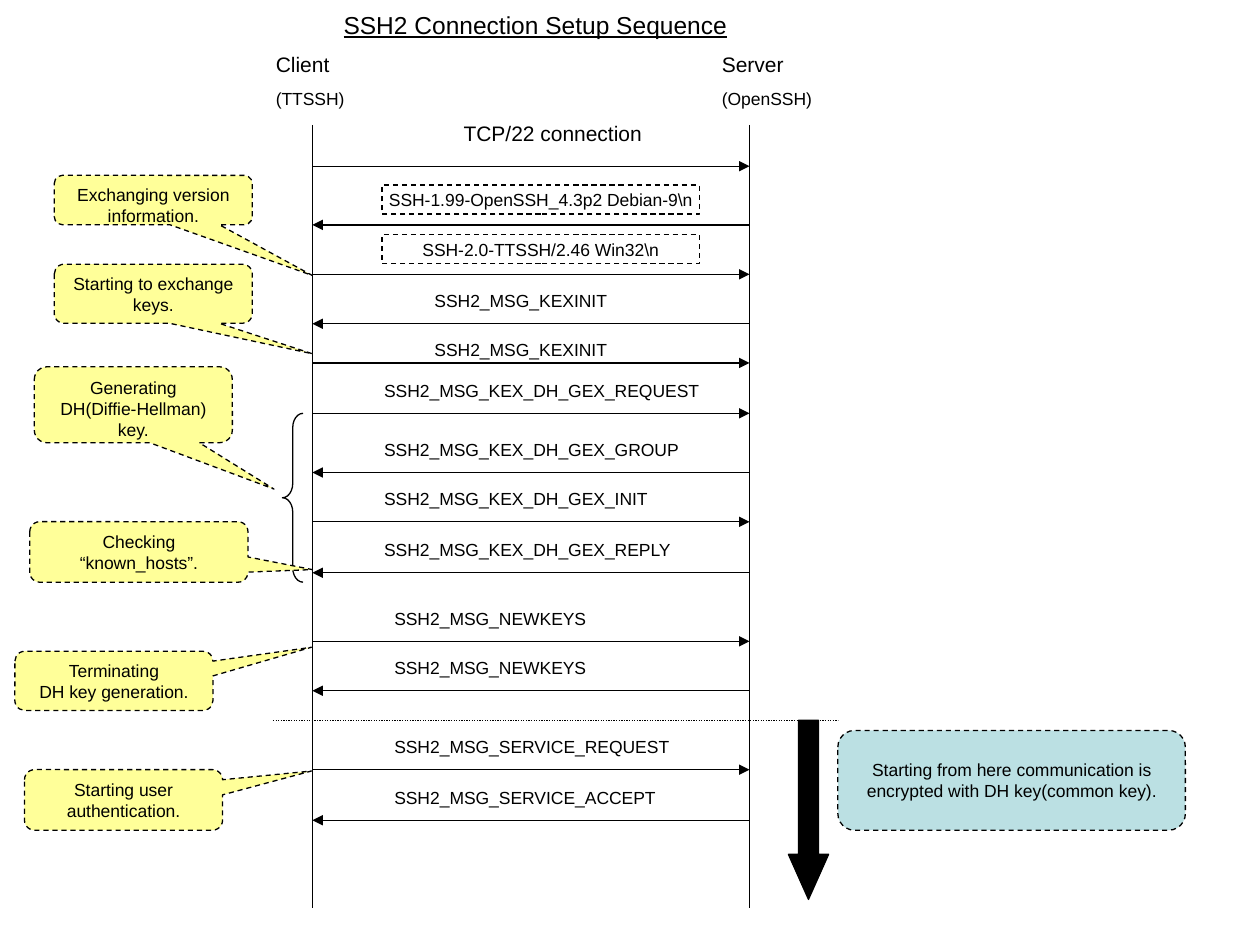
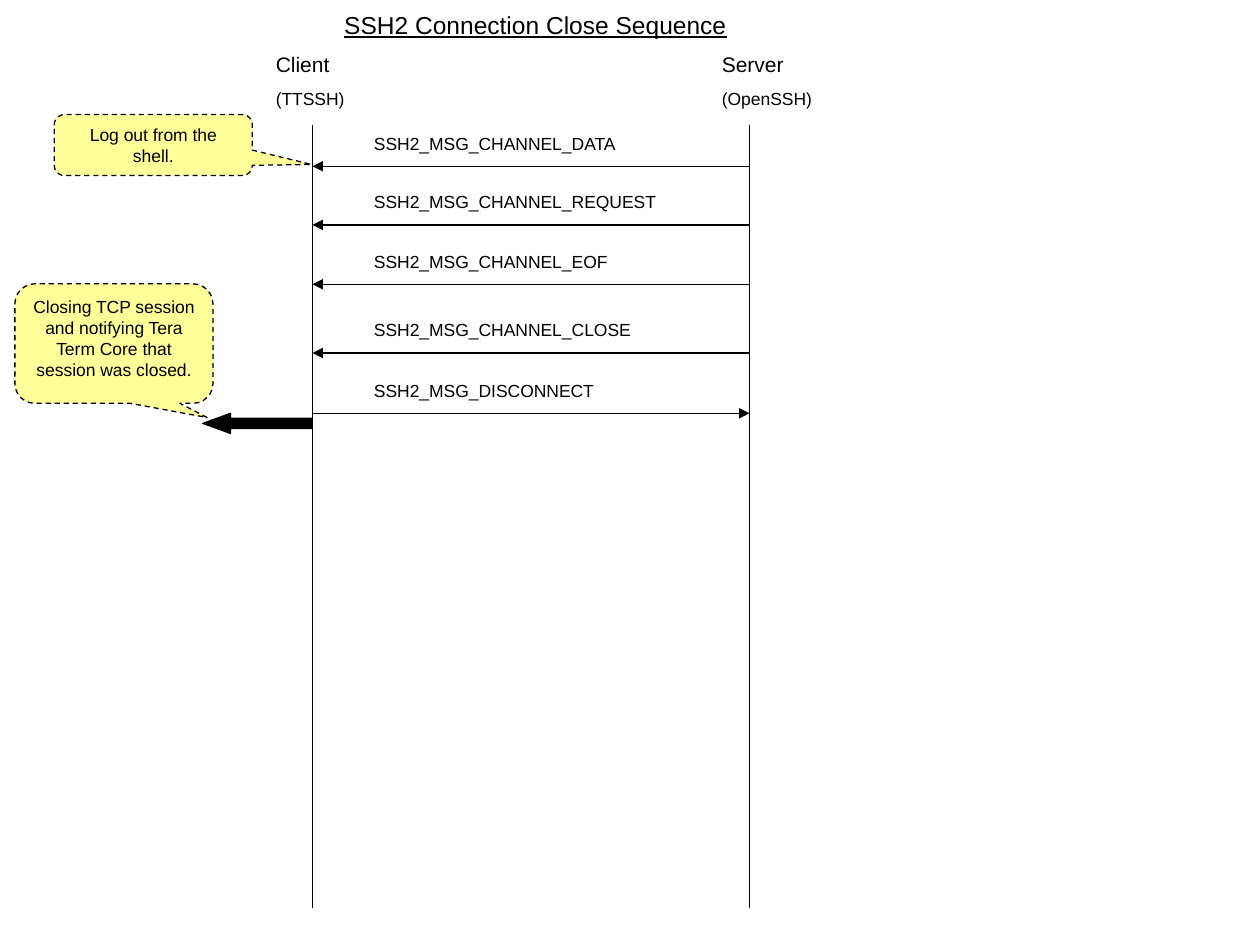
from dataclasses import dataclass

from lxml import etree
from pptx import Presentation
from pptx import util as u
from pptx.dml.color import RGBColor
from pptx.enum import dml, shapes, text
from pptx.oxml.ns import qn

Pt = u.Pt
SHAPE = shapes.MSO_SHAPE
ALIGN = text.PP_ALIGN
ANCHOR = text.MSO_ANCHOR
DASH = dml.MSO_LINE


@dataclass(frozen=True)
class Theme:
    font: str = "Arial"
    ink: str = "000000"
    note: str = "FFFF99"
    encrypted: str = "BBE0E3"
    title: int = 14
    heading: int = 12
    body: int = 10
    line: float = 0.75


THEME = Theme()
CLIENT, SERVER = 178.5, 428.3
LANE_TOP, LANE_BOTTOM = 71.3, 519
LABEL_GAP = 22.7
LABEL_HEIGHT = 19.4
FRAME_HEIGHT = 16.6

ACTORS = [(150.5, "Client", "(TTSSH)"), (405.4, "Server", "(OpenSSH)")]

LABEL_COLUMNS = {
    "tcp": (257.8, 133),
    "frame": (218.2, 181.4),
    "kexinit": (241.2, 119),
    "gex": (212.4, 199),
    "session": (218.2, 176),
    "channel": (206.6, 193),
}

SEQUENCES = [
    {
        "title": "SSH2 Connection Setup Sequence",
        "messages": [
            (95, "right", "tcp", "TCP/22 connection"),
            (128.5, "left", "frame", "SSH-1.99-OpenSSH_4.3p2 Debian-9\\n"),
            (156.8, "right", "frame", "SSH-2.0-TTSSH/2.46 Win32\\n"),
            (185, "left", "kexinit", "SSH2_MSG_KEXINIT"),
            (207.4, "right", "kexinit", "SSH2_MSG_KEXINIT"),
            (236.2, "right", "gex", "SSH2_MSG_KEX_DH_GEX_REQUEST"),
            (270, "left", "gex", "SSH2_MSG_KEX_DH_GEX_GROUP"),
            (298.2, "right", "gex", "SSH2_MSG_KEX_DH_GEX_INIT"),
            (327.3, "left", "gex", "SSH2_MSG_KEX_DH_GEX_REPLY"),
            (366.5, "right", "session", "SSH2_MSG_NEWKEYS"),
            (394.7, "left", "session", "SSH2_MSG_NEWKEYS"),
            (439.8, "right", "session", "SSH2_MSG_SERVICE_REQUEST"),
            (468.7, "left", "session", "SSH2_MSG_SERVICE_ACCEPT"),
        ],
        "label_gaps": {95: 29.5, 207.4: 17.3},
        "brace": (161.4, 236.2, 11.8, 96.5),
        "callouts": [
            ((31, 100.2, 113.2, 28.2), (CLIENT, 157.4), ["Exchanging version information."]),
            ((31, 151, 113.2, 33.8), (CLIENT, 202.2), ["Starting to exchange keys."]),
            ((19.6, 209.6, 113.2, 43.4), (156.6, 279.5), ["Generating", "DH(Diffie-Hellman) key."]),
            ((17, 298.1, 124.7, 34.6), (CLIENT, 325.5), ["Checking “known_hosts”."]),
            ((8.5, 372.2, 113.2, 33.8), (178, 369.9), ["Terminating", "DH key generation."]),
            ((14, 439.8, 113.2, 34.6), (178, 440.6), ["Starting user authentication."]),
        ],
        "block_arrow": (SHAPE.DOWN_ARROW, (450.5, 411.6, 23, 102.4), (0.5, 1.12)),
        "encryption": {
            "start": (156, 478.8, 411.6),
            "box": (478.8, 417.4, 198.6, 57),
            "lines": ["Starting from here communication is", "encrypted with DH key(common key)."],
        },
    },
    {
        "title": "SSH2 Connection Close Sequence",
        "messages": [
            (95, "left", "channel", "SSH2_MSG_CHANNEL_DATA"),
            (128.5, "left", "channel", "SSH2_MSG_CHANNEL_REQUEST"),
            (162.4, "left", "channel", "SSH2_MSG_CHANNEL_EOF"),
            (201.7, "left", "channel", "SSH2_MSG_CHANNEL_CLOSE"),
            (236.2, "right", "channel", "SSH2_MSG_DISCONNECT"),
        ],
        "callouts": [
            ((31, 65.5, 113.2, 34.8), (178, 94), ["Log out from the shell."]),
            ((8.5, 162.2, 113.2, 68.3), (118.3, 238.6),
             ["Closing TCP session and notifying Tera Term Core that session was closed."]),
        ],
        "block_arrow": (SHAPE.LEFT_ARROW, (115.9, 236.2, 62.6, 11.5), (0.5, 1.38)),
    },
]


def rgb(value):
    return RGBColor.from_string(value)


def points(values):
    return [Pt(value) for value in values]


def write(box, lines, size=THEME.body, align=ALIGN.LEFT, anchor=ANCHOR.TOP, wrap=True):
    frame = box.text_frame
    frame.word_wrap = wrap
    frame.vertical_anchor = anchor
    for index, line in enumerate(lines):
        para = frame.paragraphs[0] if index == 0 else frame.add_paragraph()
        para.text = line
        para.alignment = align
        para.font.name = THEME.font
        para.font.size = Pt(size)
        para.font.color.rgb = rgb(THEME.ink)
    return frame.paragraphs


def add_text(page, area, lines, **style):
    return write(page.shapes.add_textbox(*points(area)), lines, **style)


def add_outline(item, dash=None):
    item.line.color.rgb = rgb(THEME.ink)
    item.line.width = Pt(THEME.line)
    if dash:
        item.line.dash_style = dash


def add_line(page, start, end, arrow=False, dash=None):
    line = page.shapes.add_connector(shapes.MSO_CONNECTOR.STRAIGHT, *points(start + end))
    add_outline(line, dash)
    properties = line._element.spPr
    if arrow:
        etree.SubElement(properties.find(qn("a:ln")), qn("a:tailEnd"), type="triangle")
    etree.SubElement(properties, qn("a:effectLst"))


def add_figure(page, kind, area, fill=None, dash=None, adjustments=()):
    figure = page.shapes.add_shape(kind, *points(area))
    figure.shadow.inherit = False
    if fill:
        figure.fill.solid()
        figure.fill.fore_color.rgb = rgb(fill)
    else:
        figure.fill.background()
    add_outline(figure, dash)
    for index, value in enumerate(adjustments):
        figure.adjustments[index] = value
    return figure


def add_actors(page):
    for left, role, program in ACTORS:
        role_para, program_para = add_text(
            page, (left, 25.9, 73.4, 39.6), [role, program], size=THEME.heading)
        program_para.font.size = Pt(THEME.body)
        program_para.space_before = Pt(6.2)
    for lane in (CLIENT, SERVER):
        add_line(page, (lane, LANE_TOP), (lane, LANE_BOTTOM))


def add_message(page, y, direction, column, label, gap):
    ends = [(CLIENT, y), (SERVER, y)]
    if direction == "left":
        ends.reverse()
    add_line(page, *ends, arrow=True)
    left, width = LABEL_COLUMNS[column]
    if column == "frame":
        box = add_figure(page, SHAPE.RECTANGLE, (left, y - gap, width, FRAME_HEIGHT), dash=DASH.DASH)
        write(box, [label], align=ALIGN.CENTER, anchor=ANCHOR.MIDDLE, wrap=False)
    else:
        size = THEME.heading if column == "tcp" else THEME.body
        add_text(page, (left, y - gap, width, LABEL_HEIGHT), [label], size=size)


def add_callout(page, area, target, lines):
    left, top, width, height = area
    tip = ((target[0] - left) / width - 0.5, (target[1] - top) / height - 0.5)
    box = add_figure(page, SHAPE.ROUNDED_RECTANGULAR_CALLOUT, area, THEME.note, DASH.DASH, tip)
    write(box, lines, align=ALIGN.CENTER)


def add_encryption(page, start, box, lines):
    left, right, y = start
    add_line(page, (left, y), (right, y), dash=DASH.ROUND_DOT)
    panel = add_figure(page, SHAPE.ROUNDED_RECTANGLE, box, THEME.encrypted, DASH.DASH)
    write(panel, lines, align=ALIGN.CENTER, anchor=ANCHOR.MIDDLE, wrap=False)


def add_sequence(deck, sequence):
    page = deck.slides.add_slide(deck.slide_layouts[6])
    title = add_text(page, (0, 0, 612, 28.1), [sequence["title"]], size=THEME.title,
                     align=ALIGN.CENTER, anchor=ANCHOR.MIDDLE)[0]
    title.font.underline = True
    add_actors(page)
    gaps = sequence.get("label_gaps", {})
    for message in sequence["messages"]:
        add_message(page, *message, gaps.get(message[0], LABEL_GAP))
    if "brace" in sequence:
        add_figure(page, SHAPE.LEFT_BRACE, sequence["brace"], adjustments=(0.69, 0.5))
    for callout in sequence["callouts"]:
        add_callout(page, *callout)
    kind, area, adjustments = sequence["block_arrow"]
    add_figure(page, kind, area, THEME.ink, adjustments=adjustments)
    if "encryption" in sequence:
        add_encryption(page, **sequence["encryption"])


def main():
    deck = Presentation()
    deck.slide_width, deck.slide_height = Pt(720), Pt(540)
    for sequence in SEQUENCES:
        add_sequence(deck, sequence)
    deck.save("out.pptx")


if __name__ == "__main__":
    main()
